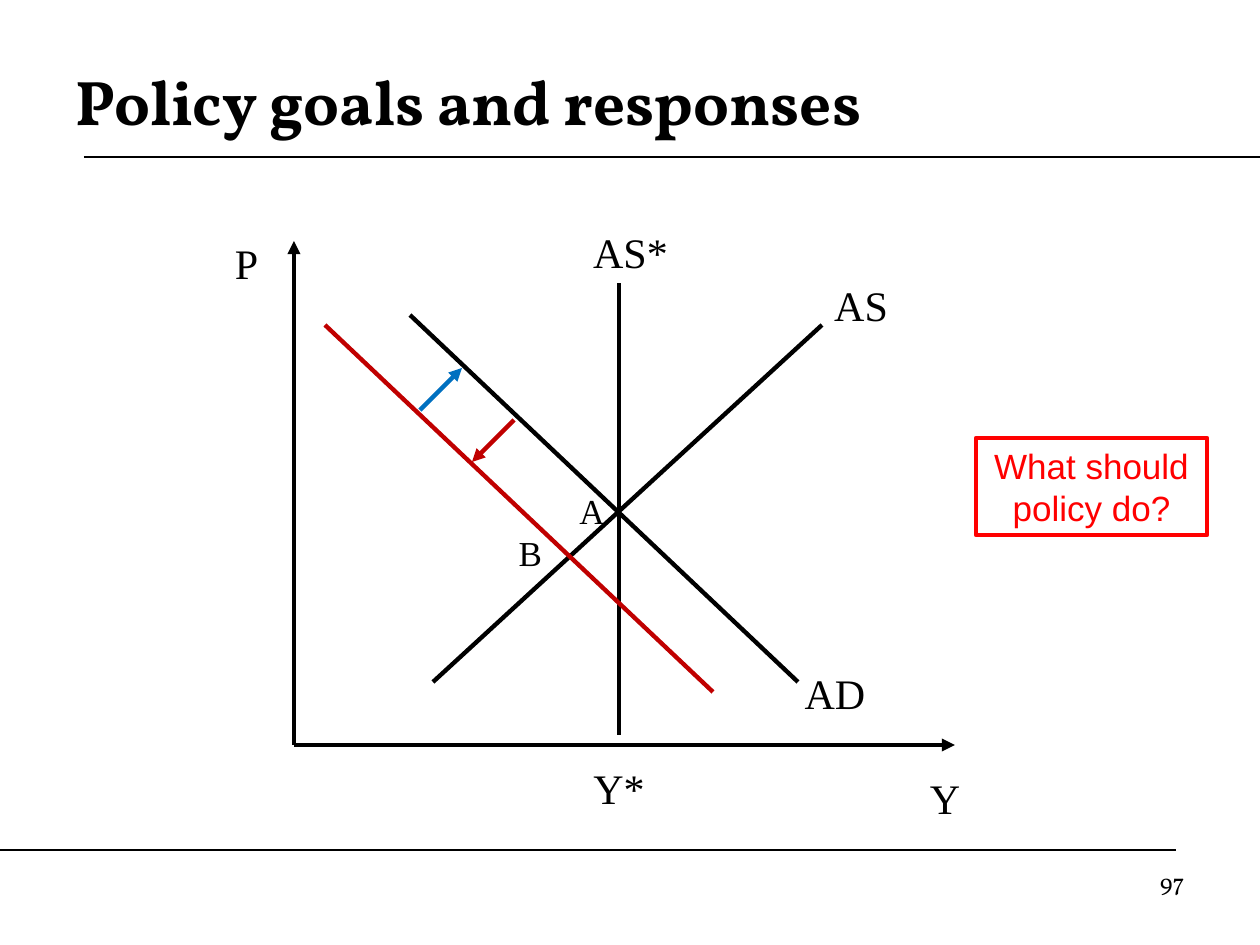
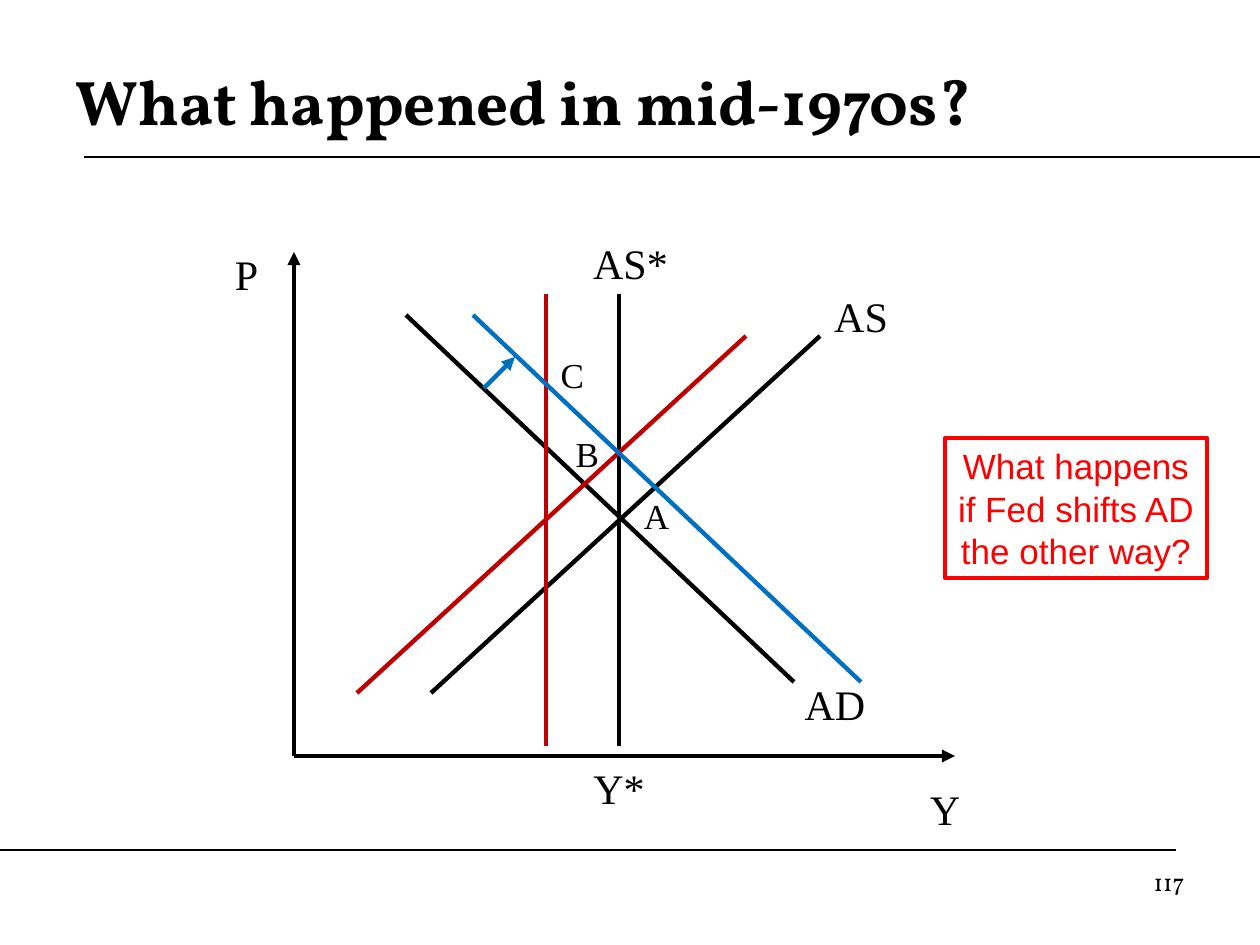
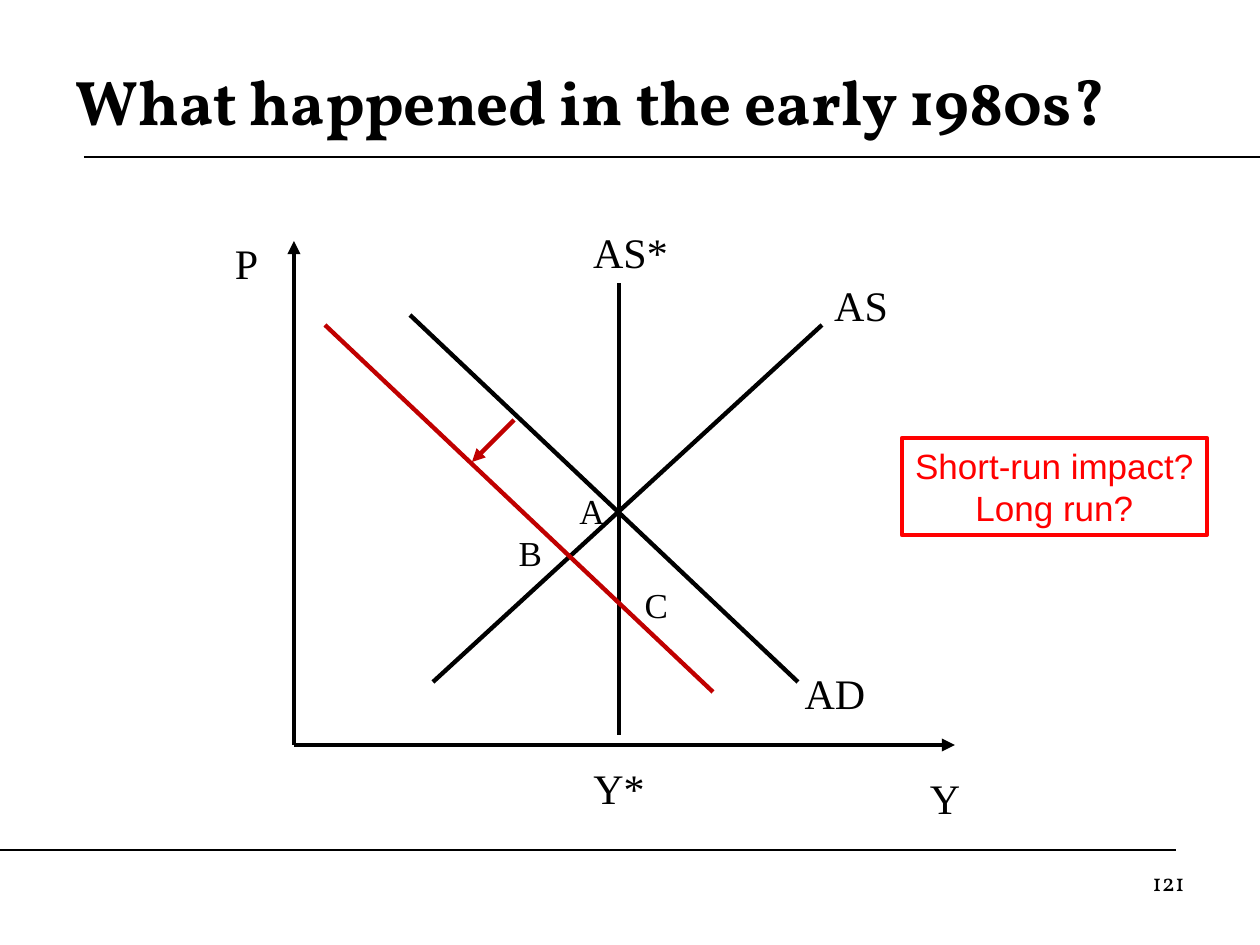
from typing import NamedTuple

import pptx
import pptx.dml.color
import pptx.enum.shapes
import pptx.enum.text
import pptx.oxml
import pptx.oxml.ns
import pptx.util
from pptx.presentation import Presentation
from pptx.shapes.connector import Connector
from pptx.slide import Slide, SlideLayout

PX_PER_INCH = 126
BLACK, RED, DARK_RED, BLUE = "000000", "FF0000", "C00000", "0070C0"
TITLE_FONT, LABEL_FONT, QUESTION_FONT = "Vollkorn", "Times New Roman", "Arial"
CURVE_WIDTH, RULE_WIDTH = 2.5, 0.75

DEMAND_RUN, DEMAND_DROP = 388, 367
SUPPLY_RUN, SUPPLY_RISE = 389, 357
POTENTIAL_HEIGHT = 452
POTENTIAL_X = 619
ORIGIN_X, ORIGIN_Y = 294, 745
QUESTION_RIGHT, QUESTION_TOP = 1207, 438


class Line(NamedTuple):
    start_x: int
    start_y: int
    end_x: int
    end_y: int
    color: str = BLACK
    arrow: bool = False
    width: float = CURVE_WIDTH


class Label(NamedTuple):
    text: str
    left: int
    top: int
    width: int = 73
    height: int = 54
    size: int = 20
    font: str = LABEL_FONT
    align: pptx.enum.text.PP_ALIGN = pptx.enum.text.PP_ALIGN.CENTER
    grow: bool = True


class Question(NamedTuple):
    text: str
    width: int
    height: int


class Diagram(NamedTuple):
    title: str
    number: int
    drop: int
    supply_left: int
    demand_left: int
    shifts: list[Line]
    points: list[Label]
    question: Question


def demand(left: int, top: int, color: str = BLACK) -> Line:
    return Line(left + DEMAND_RUN, top + DEMAND_DROP, left, top, color)


def supply(left: int, bottom: int, color: str = BLACK) -> Line:
    return Line(left, bottom, left + SUPPLY_RUN, bottom - SUPPLY_RISE, color)


def potential(x: int, top: int, color: str = BLACK) -> Line:
    return Line(x, top + POTENTIAL_HEIGHT, x, top, color)


def arrow(start_x: int, start_y: int, end_x: int, end_y: int, color: str) -> Line:
    return Line(start_x, start_y, end_x, end_y, color, arrow=True)


RULES = [
    Line(84, 157, 1260, 157, width=RULE_WIDTH),
    Line(0, 850, 1176, 850, width=RULE_WIDTH),
]
DEMAND_FALL = [demand(325, 325, DARK_RED), arrow(514, 420, 472, 462, DARK_RED)]
FALL_POINTS = [Label("A", 567, 483, width=42), Label("B", 494, 525)]

DIAGRAMS = [
    Diagram(
        "Policy goals and responses", 97, 0, 433, 410,
        DEMAND_FALL + [arrow(420, 410, 462, 368, BLUE)],
        FALL_POINTS,
        Question("What should policy do?", 231, 97),
    ),
    Diagram(
        "What happened in mid-1970s?", 117, 11, 431, 406,
        [
            potential(546, 294, DARK_RED),
            supply(357, 693, DARK_RED),
            arrow(484, 388, 515, 357, BLUE),
            demand(473, 315, BLUE),
        ],
        [Label("A", 620, 488), Label("B", 551, 426), Label("C", 536, 347)],
        Question("What happens if Fed shifts AD the other way?", 262, 140),
    ),
    Diagram(
        "What happened in the early 1980s?", 121, 0, 433, 410,
        DEMAND_FALL,
        FALL_POINTS + [Label("C", 620, 577)],
        Question("Short-run impact? Long run?", 305, 97),
    ),
]


def px(length: int) -> pptx.util.Emu:
    return pptx.util.Emu(round(length * pptx.util.Inches(1) / PX_PER_INCH))


def rgb(color: str) -> pptx.dml.color.RGBColor:
    return pptx.dml.color.RGBColor.from_string(color)


def style_paragraph(paragraph, font: str, size: int, color: str, align, bold: bool = False) -> None:
    paragraph.alignment = align
    paragraph.font.name = font
    paragraph.font.size = pptx.util.Pt(size)
    paragraph.font.bold = bold
    paragraph.font.color.rgb = rgb(color)


def draw_line(slide: Slide, line: Line) -> Connector:
    connector = slide.shapes.add_connector(
        pptx.enum.shapes.MSO_CONNECTOR.STRAIGHT,
        px(line.start_x), px(line.start_y), px(line.end_x), px(line.end_y),
    )
    connector.line.color.rgb = rgb(line.color)
    connector.line.width = pptx.util.Pt(line.width)
    if line.arrow:
        outline = connector.line.fill._xPr
        tail = pptx.oxml.parse_xml(f'<a:tailEnd {pptx.oxml.ns.nsdecls("a")} type="triangle"/>')
        outline.append(tail)
    effects = pptx.oxml.parse_xml(f'<a:effectLst {pptx.oxml.ns.nsdecls("a")}/>')
    connector.element.spPr.append(effects)
    return connector


def draw_label(slide: Slide, label: Label) -> None:
    box = slide.shapes.add_textbox(px(label.left), px(label.top), px(label.width), px(label.height))
    frame = box.text_frame
    frame.word_wrap = True
    if label.grow:
        frame.auto_size = pptx.enum.text.MSO_AUTO_SIZE.SHAPE_TO_FIT_TEXT
    frame.text = label.text
    style_paragraph(frame.paragraphs[0], label.font, label.size, BLACK, label.align)


def draw_question(slide: Slide, question: Question) -> None:
    box = slide.shapes.add_shape(
        pptx.enum.shapes.MSO_SHAPE.RECTANGLE,
        px(QUESTION_RIGHT - question.width), px(QUESTION_TOP),
        px(question.width), px(question.height),
    )
    box.shadow.inherit = False
    box.fill.background()
    box.line.color.rgb = rgb(RED)
    box.line.width = pptx.util.Pt(CURVE_WIDTH)
    frame = box.text_frame
    frame.word_wrap = True
    frame.auto_size = pptx.enum.text.MSO_AUTO_SIZE.SHAPE_TO_FIT_TEXT
    frame.text = question.text
    style_paragraph(frame.paragraphs[0], QUESTION_FONT, 20, RED, pptx.enum.text.PP_ALIGN.CENTER)


def set_title(slide: Slide, text: str) -> None:
    title = slide.shapes.title
    title.left, title.top, title.width, title.height = px(63), px(42), px(1134), px(116)
    frame = title.text_frame
    frame.text = text
    frame.auto_size = pptx.enum.text.MSO_AUTO_SIZE.NONE
    frame.vertical_anchor = pptx.enum.text.MSO_ANCHOR.MIDDLE
    style_paragraph(frame.paragraphs[0], TITLE_FONT, 36, BLACK, pptx.enum.text.PP_ALIGN.LEFT, True)


def draw_axes_and_curves(slide: Slide, diagram: Diagram) -> None:
    drop = diagram.drop
    base_y = ORIGIN_Y + drop
    lines = [
        arrow(ORIGIN_X, base_y, 955, base_y, BLACK),
        arrow(ORIGIN_X, base_y, ORIGIN_X, 241 + drop, BLACK),
        supply(diagram.supply_left, 682 + drop),
        demand(diagram.demand_left, 315),
        potential(POTENTIAL_X, 283 + drop),
    ]
    labels = [
        Label("Y", 903, 766 + drop, 84, 63, 24),
        Label("P", 210, 231 + drop, 73, 63, 24),
        Label("AS", 819, 273 + drop, 84, 63, 24),
        Label("AD", 777, 661 + drop, 116, 63, 24),
        Label("AS*", 557, 220 + drop, 147, 64, 24),
        Label("Y*", 577, 756, 84, 63, 24),
    ]
    for line in lines:
        draw_line(slide, line)
    for label in labels:
        draw_label(slide, label)


def draw_diagram(slide: Slide, diagram: Diagram) -> None:
    set_title(slide, diagram.title)
    draw_axes_and_curves(slide, diagram)
    for line in diagram.shifts:
        draw_line(slide, line)
    for label in diagram.points:
        draw_label(slide, label)
    draw_question(slide, diagram.question)
    number = Label(
        str(diagram.number), 903, 861, 294, 66, 14, TITLE_FONT,
        pptx.enum.text.PP_ALIGN.RIGHT, grow=False,
    )
    draw_label(slide, number)


def move_rules_to_layout(slide: Slide, layout: SlideLayout) -> None:
    for shape_id, rule in enumerate(RULES, start=20):
        connector = draw_line(slide, rule)
        connector.element.nvCxnSpPr.cNvPr.set("id", str(shape_id))
        layout.shapes.element.append(connector.element)


def build_presentation() -> Presentation:
    presentation = pptx.Presentation()
    presentation.slide_width = px(1260)
    presentation.slide_height = px(945)
    layout = presentation.slide_layouts.get_by_name("Title Only")
    slides = [presentation.slides.add_slide(layout) for _ in DIAGRAMS]
    move_rules_to_layout(slides[0], layout)
    for slide, diagram in zip(slides, DIAGRAMS):
        draw_diagram(slide, diagram)
    return presentation


def main() -> None:
    presentation = build_presentation()
    presentation.save("out.pptx")


if __name__ == "__main__":
    main()
